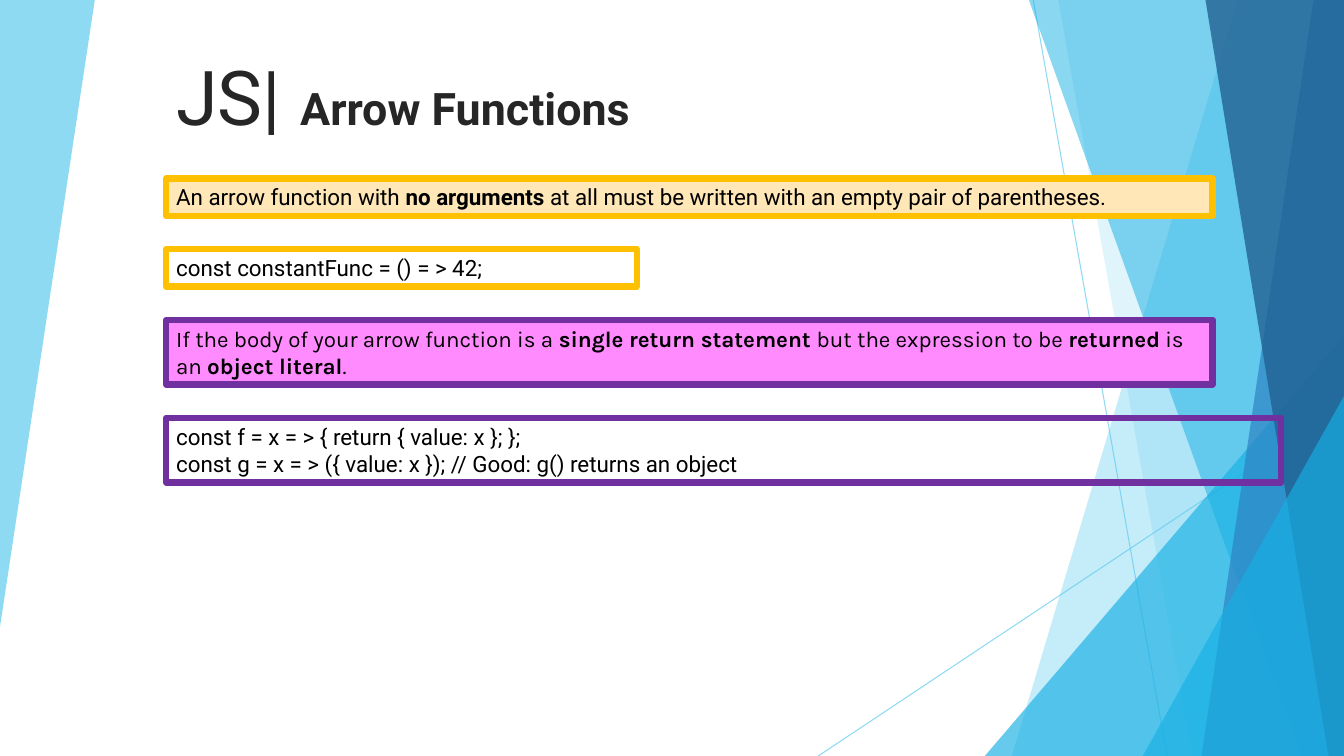
import dataclasses

import lxml.etree
import pptx
import pptx.dml.color
import pptx.enum.shapes
import pptx.enum.text
import pptx.oxml.ns
import pptx.util

Cm = pptx.util.Cm
Shape = pptx.enum.shapes.MSO_SHAPE
Anchor = pptx.enum.text.MSO_ANCHOR
AutoSize = pptx.enum.text.MSO_AUTO_SIZE
Align = pptx.enum.text.PP_ALIGN


@dataclasses.dataclass(frozen=True)
class Theme:
    sky: str = "5FCBEF"
    azure: str = "17B0E4"
    blue: str = "2E83C3"
    navy: str = "226292"
    title: str = "262626"
    ink: str = "000000"
    white: str = "FFFFFF"
    cream: str = "FFE7B7"
    gold: str = "FFC000"
    pink: str = "FF8BFF"
    purple: str = "7030A0"
    font: str = "Roboto"
    accent_font: str = "Karla"
    mark_size: int = 54
    title_size: int = 32
    body_size: int = 16
    frame_width: float = 4.5
    hairline: float = 0.75


def apply_format(target, values):
    for name, value in values.items():
        setattr(target, name, value)


def rgb(color):
    return pptx.dml.color.RGBColor.from_string(color)


def add_alpha(shape, percent):
    for color in shape.element.xpath(".//a:srgbClr"):
        alpha = lxml.etree.SubElement(color, pptx.oxml.ns.qn("a:alpha"))
        alpha.set("val", str(percent * 1000))


class SlideBuilder:
    width = 33.87
    height = 19.05

    def __init__(self, deck, theme):
        self.theme = theme
        apply_format(deck, {"slide_width": Cm(self.width), "slide_height": Cm(self.height)})
        self.page = deck.slides.add_slide(deck.slide_layouts[5])

    def paint(self, shape, color, percent):
        shape.shadow.inherit = False
        shape.fill.solid()
        shape.fill.fore_color.rgb = rgb(color)
        shape.line.fill.background()
        add_alpha(shape, percent)

    def polygon(self, points, color, percent):
        corners = [(Cm(x), Cm(y)) for x, y in points]
        builder = self.page.shapes.build_freeform(*corners[0])
        builder.add_line_segments(corners[1:], close=True)
        self.paint(builder.convert_to_shape(), color, percent)

    def band(self, top_x, bottom_x, color, percent):
        points = [(top_x, 0), (self.width, 0), (self.width, self.height), (bottom_x, self.height)]
        self.polygon(points, color, percent)

    def corner(self, left, top, color, percent):
        triangle = self.page.shapes.add_shape(
            Shape.ISOSCELES_TRIANGLE, Cm(left), Cm(top),
            Cm(self.width - left), Cm(self.height - top))
        triangle.adjustments[0] = 1
        self.paint(triangle, color, percent)

    def hairline(self, start, end, color, percent):
        line = self.page.shapes.add_connector(
            pptx.enum.shapes.MSO_CONNECTOR.STRAIGHT, *map(Cm, start + end))
        line.line.color.rgb = rgb(color)
        line.line.width = pptx.util.Pt(self.theme.hairline)
        add_alpha(line, percent)
        lxml.etree.SubElement(line.element.spPr, pptx.oxml.ns.qn("a:effectLst"))

    def span(self, para, text, size, color, font, bold):
        span = para.add_run()
        span.text = text
        apply_format(span.font, {"name": font, "size": pptx.util.Pt(size), "bold": bold})
        span.font.color.rgb = rgb(color)

    def title(self, mark, text):
        theme = self.theme
        title = self.page.shapes.title
        apply_format(title, {"left": Cm(4.19), "top": Cm(0.97),
                             "width": Cm(21.56), "height": Cm(2.69)})
        apply_format(title.text_frame, {"word_wrap": True, "auto_size": AutoSize.NONE,
                                        "vertical_anchor": Anchor.BOTTOM})
        para = title.text_frame.paragraphs[0]
        para.alignment = Align.LEFT
        self.span(para, mark, theme.mark_size, theme.title, theme.font, False)
        self.span(para, text, theme.title_size, theme.title, theme.font, True)
        title.element.getparent().append(title.element)

    def box(self, top, width, height, fill, border, font, lines):
        box = self.page.shapes.add_shape(
            Shape.RECTANGLE, Cm(4.19), Cm(top), Cm(width), Cm(height))
        box.shadow.inherit = False
        if fill:
            box.fill.solid()
            box.fill.fore_color.rgb = rgb(fill)
        else:
            box.fill.background()
        box.line.color.rgb = rgb(border)
        box.line.width = pptx.util.Pt(self.theme.frame_width)
        frame = box.text_frame
        apply_format(frame, {"word_wrap": True, "vertical_anchor": Anchor.TOP,
                             "auto_size": AutoSize.SHAPE_TO_FIT_TEXT})
        for index, texts in enumerate(lines):
            para = frame.add_paragraph() if index else frame.paragraphs[0]
            para.alignment = Align.LEFT
            for position, text in enumerate(texts):
                self.span(para, text, self.theme.body_size, self.theme.ink,
                          font, position % 2 == 1)


def main():
    deck = pptx.Presentation()
    theme = Theme()
    slide = SlideBuilder(deck, theme)

    slide.polygon([(0, 0), (2.39, 0), (0, 15.8)], theme.sky, 70)
    slide.hairline((26.04, 0), (29.41, slide.height), theme.sky, 70)
    slide.hairline((slide.width, 10.24), (20.62, slide.height), theme.sky, 70)
    slide.band(31.19, 25.5, theme.sky, 36)
    slide.band(26.67, 30.05, theme.sky, 20)
    slide.corner(24.82, 8.46, theme.azure, 66)
    slide.band(25.93, 32.79, theme.azure, 50)
    slide.band(33.1, 30.28, theme.blue, 70)
    slide.band(30.38, 33.48, theme.navy, 80)
    slide.corner(28.8, 9.98, theme.azure, 66)

    slide.title("JS| ", "Arrow Functions")

    one_line, two_lines, gap = 0.94, 1.63, 0.84
    boxes = [
        (26.37, one_line, theme.cream, theme.gold, theme.font,
         [["An arrow function with ", "no arguments ",
           "at all must be written with an empty pair of parentheses."]]),
        (11.86, one_line, theme.white, theme.gold, theme.font,
         [["const constantFunc = () = > 42;"]]),
        (26.37, two_lines, theme.pink, theme.purple, theme.accent_font,
         [["If the body of your arrow function is a ", "single return statement ",
           "but the expression to be ", "returned", " is an ", "object literal", "."]]),
        (28.09, two_lines, None, theme.purple, theme.font,
         [["const f = x = > { return { value: x }; };"],
          ["const g = x = > ({ value: x }); // Good: g() returns an object"]]),
    ]
    top = 4.5
    for width, height, fill, border, font, lines in boxes:
        slide.box(top, width, height, fill, border, font, lines)
        top += height + gap

    deck.save("out.pptx")


if __name__ == "__main__":
    main()
